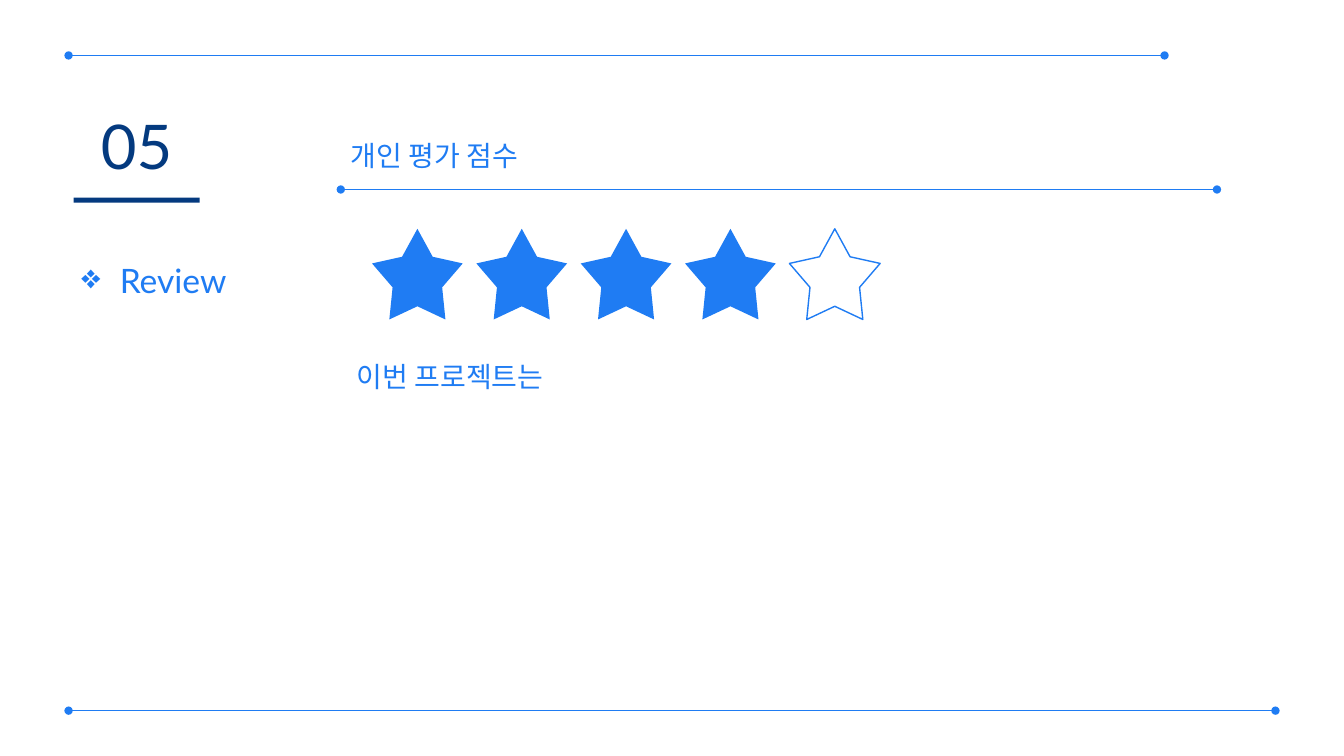
from lxml.etree import SubElement
from pptx import Presentation
from pptx.dml.color import RGBColor
from pptx.enum.shapes import MSO_CONNECTOR, MSO_SHAPE
from pptx.enum.text import MSO_AUTO_SIZE, PP_ALIGN
from pptx.oxml.ns import qn
from pptx.util import Inches, Pt

HUES = {"blue": "1F7CF3", "navy": "043A7F"}


def hue(name):
    return RGBColor.from_string(HUES[name])


def add_rule(slide, left, top, width):
    rule = slide.shapes.add_connector(
        MSO_CONNECTOR.STRAIGHT,
        Inches(left), Inches(top), Inches(left + width), Inches(top))
    rule.line.color.rgb = hue("blue")
    rule.line.width = Pt(0.5)
    edge = rule.line._get_or_add_ln()
    for end in ("a:headEnd", "a:tailEnd"):
        SubElement(edge, qn(end), type="oval")
    SubElement(rule._element.spPr, qn("a:effectLst"))


def add_text(slide, box, text, size, color="blue", align=PP_ALIGN.LEFT):
    frame = slide.shapes.add_textbox(*map(Inches, box)).text_frame
    frame.word_wrap = True
    frame.auto_size = MSO_AUTO_SIZE.SHAPE_TO_FIT_TEXT
    para = frame.paragraphs[0]
    para.alignment = align
    run = para.add_run()
    run.text = text
    for key, value in {"name": "Lato", "size": Pt(size)}.items():
        setattr(run.font, key, value)
    run.font.color.rgb = hue(color)
    return para


def add_shape(slide, kind, box, fill=None, line=None):
    shape = slide.shapes.add_shape(kind, *map(Inches, box))
    shape.shadow.inherit = False
    if fill:
        shape.fill.solid()
        shape.fill.fore_color.rgb = hue(fill)
    else:
        shape.fill.background()
    if line:
        shape.line.color.rgb = hue(line)
        shape.line.width = Pt(1)
    else:
        shape.line.fill.background()
    return shape


def add_frame(slide, left, top, width, height):
    add_rule(slide, left, top, width - 1.1)
    add_rule(slide, left, top + height, width)


def add_side(slide, left, top, width, height):
    add_text(slide, (left + 0.09, top, 1.11, 0.84), "05", 44, "navy", PP_ALIGN.CENTER)
    add_shape(slide, MSO_SHAPE.RECTANGLE, (left + 0.02, top + 0.94, 1.25, 0.05), "navy")
    label = add_text(slide, (left, top + height - 0.5, width, 0.5), "Review", 24)
    props = label._p.get_or_add_pPr()
    for key, value in {"marL": Inches(0.38), "indent": -Inches(0.38)}.items():
        props.set(key, str(value))
    SubElement(props, qn("a:buChar"), char="❖")


def add_stars(slide, left, top, size, step, score, total):
    for place in range(total):
        style = {"fill": "blue"} if place < score else {"line": "blue"}
        box = (left + place * step, top, size, size)
        star = add_shape(slide, MSO_SHAPE.STAR_5_POINT, box, **style)
        star.adjustments[0] = 0.273


def add_review(slide, left, top, width):
    add_text(slide, (left, top, 5.54, 0.44), "개인 평가 점수", 20)
    add_rule(slide, left, top + 0.56, width)
    add_stars(slide, left + 0.31, top + 0.95, 0.9, 1.035, 4, 5)
    add_text(slide, (left + 0.06, top + 2.2, 5.54, 0.44), "이번 프로젝트는", 20)


def main():
    deck = Presentation()
    deck.slide_width, deck.slide_height = Inches(13.33), Inches(7.5)
    slide = deck.slides.add_slide(deck.slide_layouts[6])
    add_frame(slide, 0.68, 0.55, 11.97, 6.5)
    add_side(slide, 0.71, 1.02, 2.06, 2.01)
    add_review(slide, 3.38, 1.32, 8.69)
    deck.save("out.pptx")


if __name__ == "__main__":
    main()
